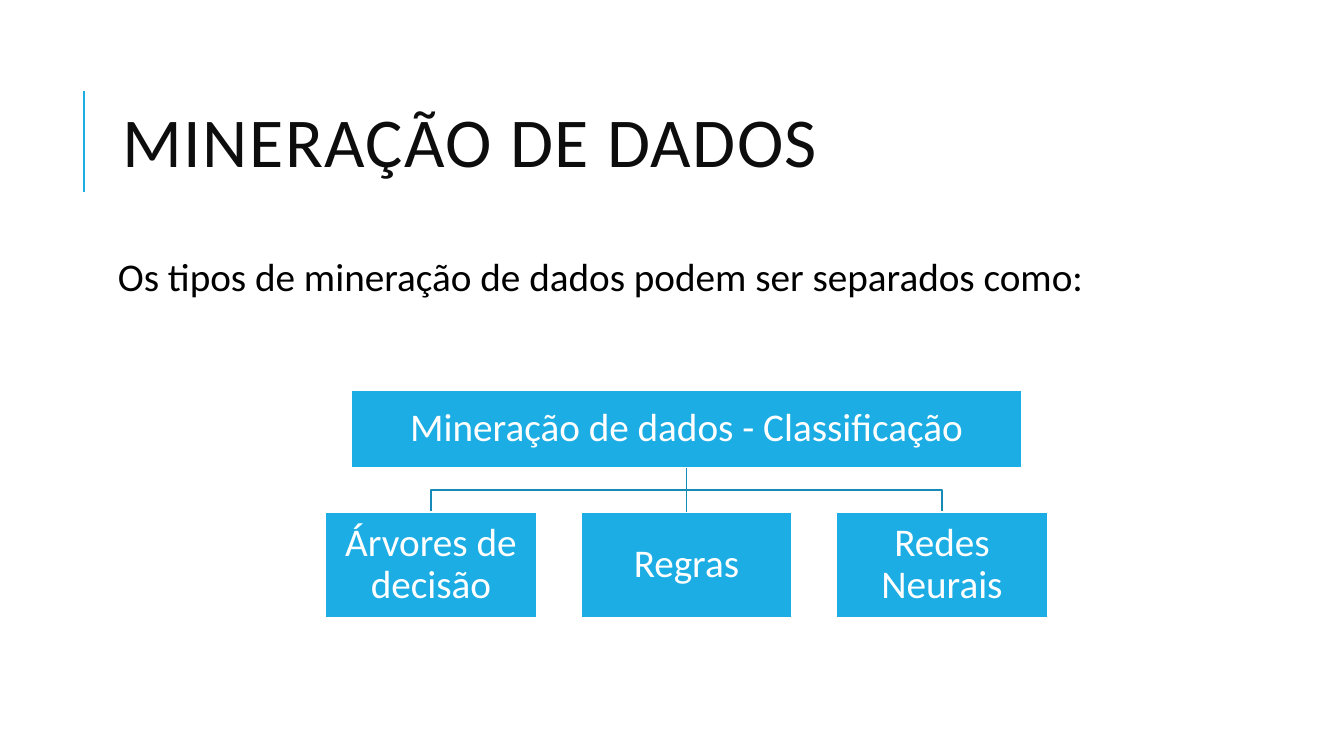
from pptx import Presentation
from pptx.dml.color import RGBColor
from pptx.enum import shapes, text
from pptx.oxml import ns
from pptx.util import Cm, Pt
from lxml import etree

BLUE = RGBColor(0x1C, 0xAD, 0xE4)
TEAL = RGBColor(0x16, 0x8B, 0xB7)
WHITE = RGBColor(0xFF, 0xFF, 0xFF)
BLACK = RGBColor(0, 0, 0)
INK = RGBColor(0x0D, 0x0D, 0x0D)
SIDES = ("left", "top", "width", "height")
EDGES = ("margin_left", "margin_top", "margin_right", "margin_bottom")
MID = text.MSO_ANCHOR.MIDDLE
ALIGN = text.PP_ALIGN


def write(shape, words, size, color, frame, para):
    body = shape.text_frame
    body.text = words
    line = body.paragraphs[0]
    font = line.runs[0].font
    look = {"name": "Calibri", "size": Pt(size)}
    base = {"word_wrap": True, "auto_size": text.MSO_AUTO_SIZE.NONE}
    for part, form in ((body, base | frame), (line, para), (font, look)):
        for key, value in form.items():
            setattr(part, key, value)
    font.color.rgb = color
    return line


def stroke(shape, color, width):
    shape.line.color.rgb = color
    shape.line.width = Pt(width)
    props = shape.element.spPr
    if props.find(ns.qn("a:effectLst")) is None:
        etree.SubElement(props, ns.qn("a:effectLst"))


deck = Presentation()
deck.slide_width = Cm(33.87)
deck.slide_height = Cm(19.05)
slide = deck.slides.add_slide(deck.slide_layouts[1])
items = slide.shapes
title, intro = slide.placeholders

for holder, top, height in ((title, 1.63, 4.17), (intro, 6.35, 11.18)):
    for side, size in zip(SIDES, (2.84, top, 27, height)):
        setattr(holder, side, Cm(size))

head = write(title, "MINERAÇÃO DE DADOS", 50, INK,
             {"vertical_anchor": MID},
             {"alignment": ALIGN.LEFT, "line_spacing": 0.8})
head.runs[0].font.element.set("spc", "100") if hasattr(head.runs[0].font, "element") else head.runs[0]._r.get_or_add_rPr().set("spc", "100")

lead = write(intro, "Os tipos de mineração de dados podem ser separados como:",
             28, BLACK, dict.fromkeys(EDGES, Cm(0.13)),
             {"alignment": ALIGN.JUSTIFY, "line_spacing": 0.9,
              "space_before": Pt(12), "space_after": Pt(2)})
props = lead._p.get_or_add_pPr()
props.set("marL", "0")
props.set("indent", "0")
etree.SubElement(props, ns.qn("a:buNone"))

bar = items.add_connector(shapes.MSO_CONNECTOR.STRAIGHT,
                          Cm(2.11), Cm(4.83), Cm(2.11), Cm(2.29))
stroke(bar, BLUE, 1.5)

axis, step = 17.3, 6.44
base, turn, crown = 11.79, 12.34, 12.9
for way in (-1, 1):
    end = axis + way * step
    pen = items.build_freeform(Cm(axis), Cm(base), scale=1.0)
    pen.add_line_segments([(Cm(x), Cm(y)) for x, y in
                           ((axis, turn), (end, turn), (end, crown))],
                          close=False)
    branch = pen.convert_to_shape()
    branch.fill.background()
    stroke(branch, TEAL, 1.25)

nodes = [("Mineração de dados - Classificação", axis, 9.83, 16.92, 1.96)]
for i, name in enumerate(("Árvores de decisão", "Regras", "Redes Neurais")):
    nodes.append((name, axis + (i - 1) * step, crown, 5.32, 2.67))

boxes = []
for name, center, top, width, height in nodes:
    box = items.add_shape(shapes.MSO_SHAPE.RECTANGLE, Cm(center - width / 2),
                          Cm(top), Cm(width), Cm(height))
    box.shadow.inherit = False
    box.fill.solid()
    box.fill.fore_color.rgb = BLUE
    stroke(box, WHITE, 1.25)
    write(box, name, 28, WHITE,
          dict.fromkeys(EDGES, Cm(0.05)) | {"vertical_anchor": MID},
          {"alignment": ALIGN.CENTER, "line_spacing": 0.9})
    boxes.append(box)

stem = items.add_connector(shapes.MSO_CONNECTOR.STRAIGHT,
                           Cm(axis), Cm(base), Cm(axis), Cm(crown))
stem.begin_connect(boxes[0], 2)
stem.end_connect(boxes[2], 0)
stroke(stem, TEAL, 1.25)

deck.save("out.pptx")
